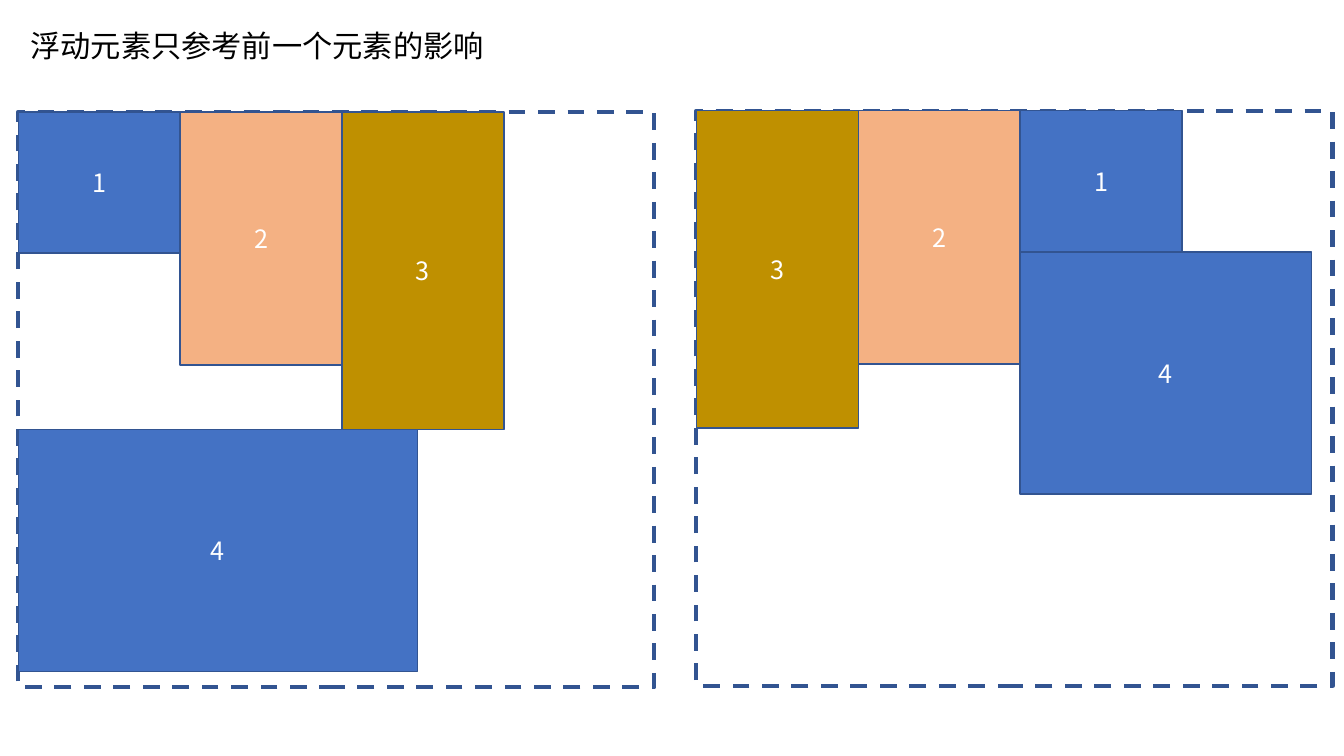
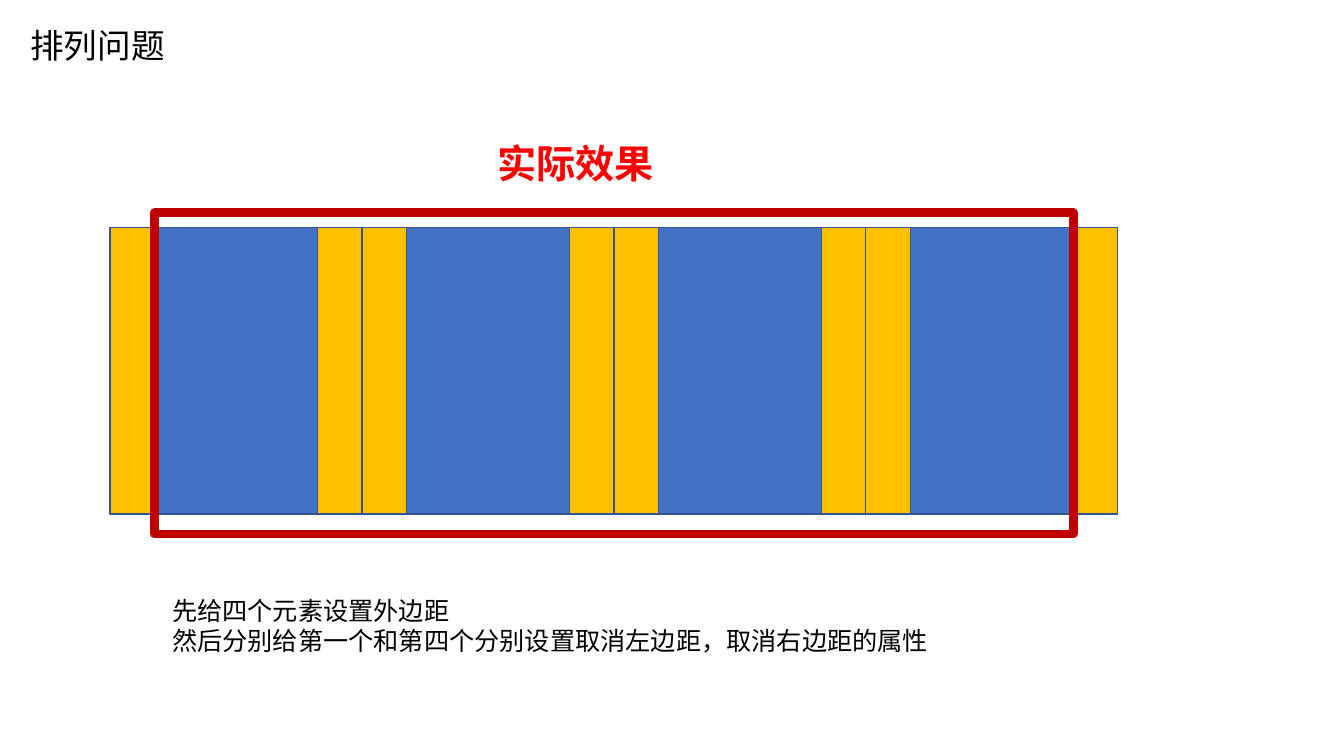
import pptx
import pptx.util
import pptx.dml.color
import pptx.enum.dml
import pptx.enum.shapes
import pptx.enum.text
import pptx.oxml
import pptx.oxml.ns
from pptx.util import Cm

# Shared style
FONT = "Noto Sans CJK SC"
COLORS = {
    "text": "000000",
    "white": "FFFFFF",
    "outline": "325491",
    "blue": "4472C4",
    "peach": "F4B183",
    "ochre": "BF9000",
    "margin": "FFC000",
    "container": "C00000",
    "caption": "FF0000",
}
TITLE_LAYOUT = 5
ALIGN = pptx.enum.text.PP_ALIGN
ANCHOR = pptx.enum.text.MSO_ANCHOR
AUTO_SIZE = pptx.enum.text.MSO_AUTO_SIZE

# Floated blocks: label -> (colour, height in cm)
FLOAT_WIDTH = 4.08
FLOATS = {"1": ("blue", 3.56), "2": ("peach", 6.38), "3": ("ochre", 8.0)}
LAST_HEIGHT = 6.1


def color(name):
    return pptx.dml.color.RGBColor.from_string(COLORS[name])


def style_paragraph(para, size, color_name, bold=False, align=ALIGN.LEFT):
    para.alignment = align
    font = para.font
    font.name = FONT
    font.size = pptx.util.Pt(size)
    font.bold = bold
    font.color.rgb = color(color_name)
    # East Asian characters take their own font entry
    properties = para._p.get_or_add_pPr().find(pptx.oxml.ns.qn("a:defRPr"))
    east_asian = pptx.oxml.parse_xml(
        f'<a:ea {pptx.oxml.ns.nsdecls("a")} typeface="{FONT}"/>')
    properties.append(east_asian)


def add_titled_page(deck, text, size, width):
    page = deck.slides.add_slide(deck.slide_layouts[TITLE_LAYOUT])
    title = page.shapes.title
    title.left, title.top = Cm(0.51), Cm(0.51)
    title.width, title.height = Cm(width), Cm(1.4)
    frame = title.text_frame
    frame.text = text
    frame.word_wrap = True
    frame.auto_size = AUTO_SIZE.NONE
    frame.vertical_anchor = ANCHOR.MIDDLE
    para = frame.paragraphs[0]
    para.line_spacing = 0.9
    style_paragraph(para, size, "text")
    return page


def add_box(page, left, top, width, height, fill=None, label=None,
            line="outline", line_width=1, dashed=False):
    box = page.shapes.add_shape(
        pptx.enum.shapes.MSO_SHAPE.RECTANGLE,
        Cm(left), Cm(top), Cm(width), Cm(height))
    box.shadow.inherit = False
    if fill:
        box.fill.solid()
        box.fill.fore_color.rgb = color(fill)
    else:
        box.fill.background()
    box.line.color.rgb = color(line)
    box.line.width = pptx.util.Pt(line_width)
    if dashed:
        box.line.dash_style = pptx.enum.dml.MSO_LINE.DASH
    if label:
        frame = box.text_frame
        frame.text = label
        frame.vertical_anchor = ANCHOR.MIDDLE
        style_paragraph(frame.paragraphs[0], 18, "white", align=ALIGN.CENTER)


def add_text(page, left, top, width, height, lines, size, color_name,
             bold=False):
    box = page.shapes.add_textbox(Cm(left), Cm(top), Cm(width), Cm(height))
    frame = box.text_frame
    frame.word_wrap = True
    frame.auto_size = AUTO_SIZE.SHAPE_TO_FIT_TEXT
    frame.text = "\n".join(lines)
    for para in frame.paragraphs:
        style_paragraph(para, size, color_name, bold)


def add_float_demo(page, left, top, order, last_column, last_width):
    """Float three blocks in order; block 4 lands under the block before it."""
    add_box(page, left, top, 16.03, 14.5, line_width=3, dashed=True)
    for column, label in enumerate(order):
        fill, height = FLOATS[label]
        add_box(page, left + column * FLOAT_WIDTH, top, FLOAT_WIDTH, height,
                fill, label)
    previous_height = FLOATS[order[-1]][1]
    add_box(page, left + last_column * FLOAT_WIDTH, top + previous_height,
            last_width, LAST_HEIGHT, "blue", "4")


def build_float_page(deck):
    page = add_titled_page(deck, "浮动元素只参考前一个元素的影响", 21.6, 12.19)
    add_float_demo(page, 0.46, 2.82, "123", 0, 10.06)
    add_float_demo(page, 17.55, 2.79, "321", 2, 7.34)


def build_arrangement_page(deck):
    page = add_titled_page(deck, "排列问题", 24, 10.92)

    # Four elements, each with a margin on both sides
    count, pitch, margin = 4, 6.35, 1.12
    left, top, height = 2.77, 5.74, 7.21
    for index in range(count):
        start = left + index * pitch
        add_box(page, start, top, pitch, height, "margin")
        add_box(page, start + margin, top, pitch - 2 * margin, height, "blue")

    # Container without the outermost margins
    add_box(page, left + margin, 5.36, count * pitch - 2 * margin, 8.1,
            line="container", line_width=6)

    # Caption and explanation
    add_text(page, 12.29, 3.38, 4.52, 1.45, ["实际效果"], 28, "caption",
             bold=True)
    add_text(page, 4.09, 14.88, 20.24, 1.8,
             ["先给四个元素设置外边距",
              "然后分别给第一个和第四个分别设置取消左边距，取消右边距的属性"],
             18, "text")


def main():
    deck = pptx.Presentation()
    deck.slide_width, deck.slide_height = Cm(33.87), Cm(19.05)
    build_float_page(deck)
    build_arrangement_page(deck)
    deck.save("out.pptx")


main()
